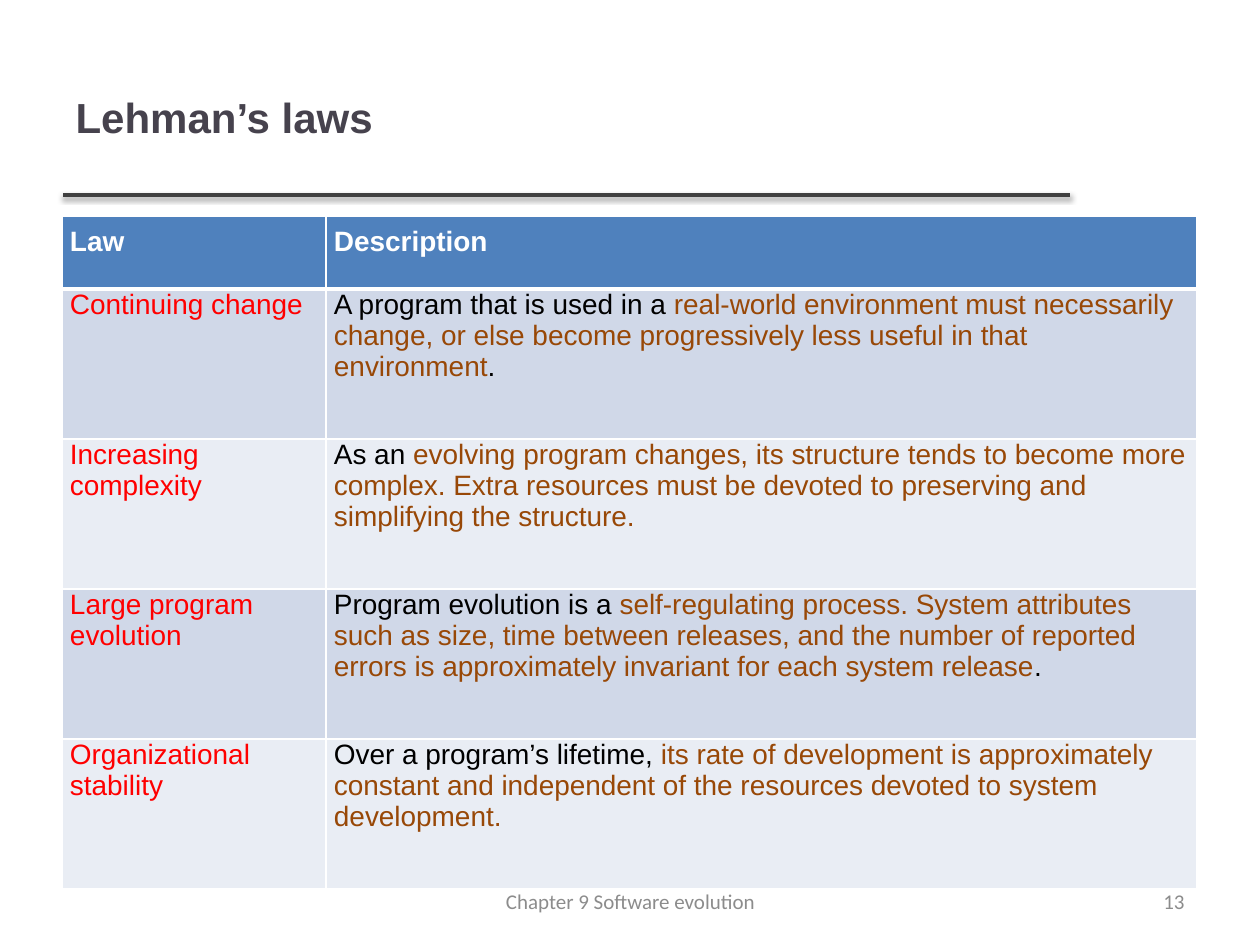
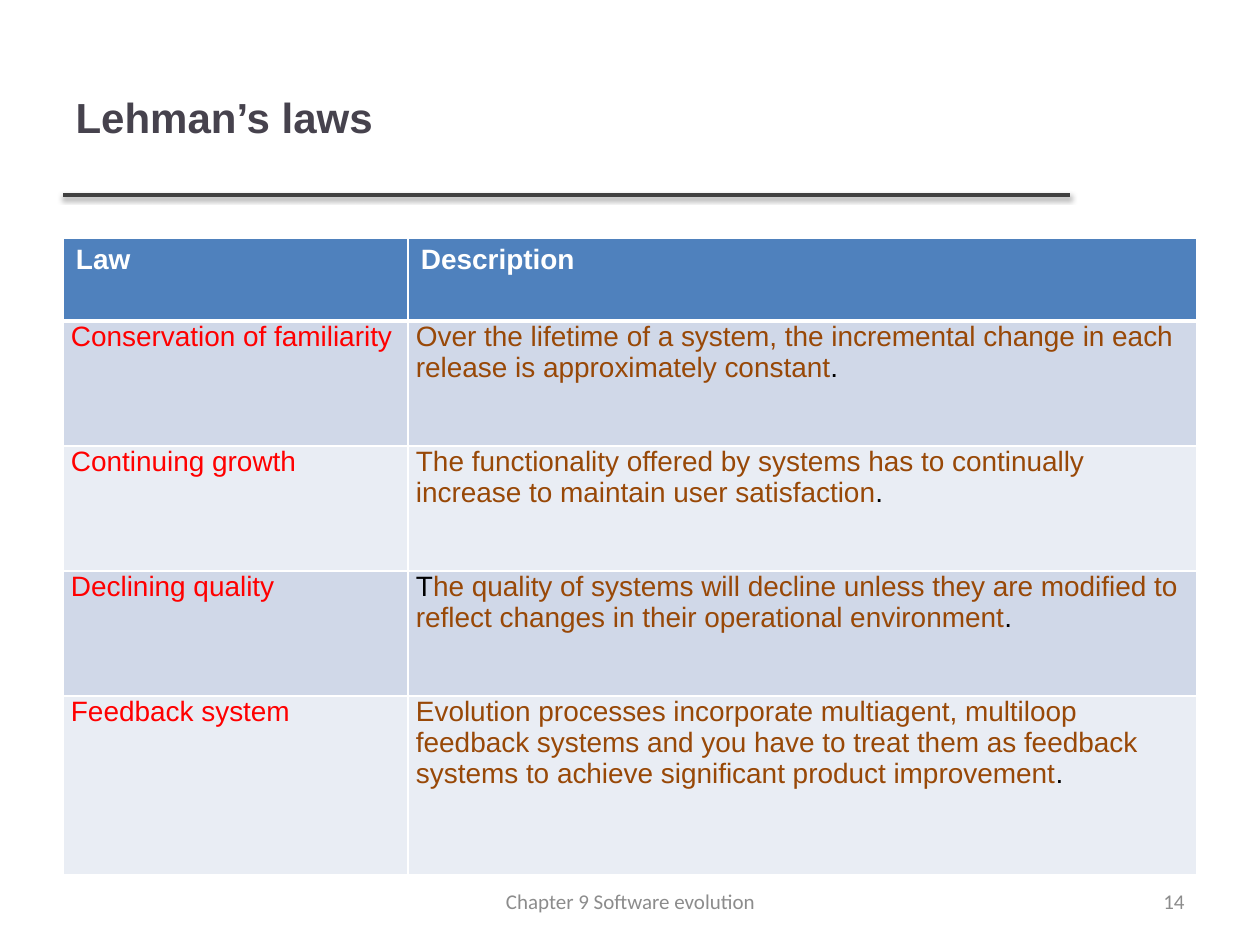
from lxml.etree import SubElement
from pptx import Presentation
from pptx.dml.color import RGBColor
from pptx.enum.shapes import MSO_CONNECTOR
from pptx.enum.text import MSO_ANCHOR, PP_ALIGN
from pptx.oxml import parse_xml
from pptx.oxml.ns import nsdecls, qn
from pptx.util import Emu, Pt

# Content: description runs marked True are highlighted
TITLE = "Lehman’s laws"
FOOTER = "Chapter 9 Software evolution"
HEADER = ("Law", "Description")
STOP = (".", False)

SLIDES = [
    {
        "number": 13, "at": (62, 216), "cols": (264, 871),
        "rows": (73, 150, 150, 150, 150),
        "header_margins": (8, 10, 8, 10), "header_after": 6,
        "laws": [
            ("Continuing change", [
                ("A program that is used in a ", False),
                ("real-world environment must necessarily change, or else become "
                 "progressively less useful in that environment", True), STOP]),
            ("Increasing complexity", [
                ("As an ", False),
                ("evolving program changes, its structure tends to become more complex. "
                 "Extra resources must be devoted to preserving and simplifying the "
                 "structure.", True)]),
            ("Large program evolution", [
                ("Program evolution is a ", False),
                ("self-regulating process. System attributes such as size, time between "
                 "releases, and the number of reported errors is approximately invariant "
                 "for each system release", True), STOP]),
            ("Organizational stability", [
                ("Over a program’s lifetime, ", False),
                ("its rate of development is approximately constant and independent of "
                 "the resources devoted to system development.", True)]),
        ],
    },
    {
        "number": 14, "at": (63, 238), "cols": (345, 789),
        "rows": (83, 125, 125, 125, 179),
        "header_margins": (13, 6, 13, 6), "header_after": 0,
        "laws": [
            ("Conservation of familiarity", [
                ("Over the lifetime of a system, the incremental change in each release "
                 "is approximately constant", True), STOP]),
            ("Continuing growth", [
                ("The functionality offered by systems has to continually increase to "
                 "maintain user satisfaction", True), STOP]),
            ("Declining quality", [
                ("T", False),
                ("he quality of systems will decline unless they are modified to reflect "
                 "changes in their operational environment", True), STOP]),
            ("Feedback system", [
                ("Evolution processes incorporate multiagent, multiloop feedback systems "
                 "and you have to treat them as feedback systems to achieve significant "
                 "product improvement", True), STOP]),
        ],
    },
]

# Shared style
WHITE = RGBColor(0xFF, 0xFF, 0xFF)
BLACK = RGBColor(0x00, 0x00, 0x00)
TITLE_GREY = RGBColor(0x46, 0x42, 0x4D)
RULE_GREY = RGBColor(0x40, 0x40, 0x40)
FOOTER_GREY = RGBColor(0x8C, 0x8C, 0x8C)
HEADER_BLUE = RGBColor(0x4F, 0x81, 0xBD)
BANDS = (RGBColor(0xD0, 0xD8, 0xE8), RGBColor(0xE9, 0xED, 0xF4))
LAW_RED = RGBColor(0xFF, 0x00, 0x00)
KEY_BROWN = RGBColor(0x98, 0x48, 0x07)
BODY_MARGINS = (8, 0, 8, 10)
THIN, THICK = Pt(1), Pt(3)
SHADOW = (
    f'<a:effectLst {nsdecls("a")}>'
    f'<a:outerShdw blurRad="{Pt(3.1)}" dist="{Pt(1.6)}" dir="5400000" rotWithShape="0">'
    '<a:srgbClr val="000000"><a:alpha val="38000"/></a:srgbClr>'
    '</a:outerShdw></a:effectLst>'
)


def px(n):
    return Emu(round(n * 914400 / 126))


def style_run(r, size, color, font="Arial", bold=False):
    r.font.name, r.font.size, r.font.bold = font, Pt(size), bold
    r.font.color.rgb = color


def place(sp, left, top, width, height):
    sp.left, sp.top, sp.width, sp.height = map(px, (left, top, width, height))


def add_title(s):
    sp = s.shapes.title
    place(sp, 63, 38, 1006, 157)
    tf = sp.text_frame
    tf.text = TITLE
    tf.vertical_anchor = MSO_ANCHOR.MIDDLE
    p = tf.paragraphs[0]
    p.alignment = PP_ALIGN.LEFT
    style_run(p.runs[0], 24, TITLE_GREY, bold=True)


def add_rule(s):
    line = s.shapes.add_connector(MSO_CONNECTOR.STRAIGHT, px(63), px(195), px(1070), px(195))
    line.line.color.rgb = RULE_GREY
    line.line.width = Pt(2)
    line._element.spPr.append(parse_xml(SHADOW))


def add_footer(s, text, left, width, align):
    tf = s.shapes.add_textbox(px(left), px(876), px(width), px(50)).text_frame
    tf.word_wrap = True
    tf.vertical_anchor = MSO_ANCHOR.MIDDLE
    tf.text = text
    p = tf.paragraphs[0]
    p.alignment = align
    style_run(p.runs[0], 12, FOOTER_GREY, font="Calibri")


def set_borders(cell, top, bottom):
    tcPr = cell._tc.get_or_add_tcPr()
    for side, width in (("L", THIN), ("R", THIN), ("T", top), ("B", bottom)):
        ln = SubElement(tcPr, qn(f"a:ln{side}"), w=str(width))
        fill = SubElement(ln, qn("a:solidFill"))
        SubElement(fill, qn("a:srgbClr"), val=str(WHITE))


def fill_cell(cell, runs, fill, margins, after, bold):
    cell.margin_left, cell.margin_top, cell.margin_right, cell.margin_bottom = map(px, margins)
    cell.fill.solid()
    cell.fill.fore_color.rgb = fill
    p = cell.text_frame.paragraphs[0]
    p.space_after = Pt(after)
    for text, color in runs:
        r = p.add_run()
        r.text = text
        style_run(r, 16, color, bold=bold)


def add_laws(s, data):
    cols, rows = data["cols"], data["rows"]
    box = (*data["at"], sum(cols), sum(rows))
    table = s.shapes.add_table(len(rows), len(cols), *map(px, box)).table
    for col, width in zip(table.columns, cols):
        col.width = px(width)
    for row, height in zip(table.rows, rows):
        row.height = px(height)

    # Header row, then one banded row per law
    lines = [[[(text, WHITE)] for text in HEADER]]
    for law, description in data["laws"]:
        colored = [(text, KEY_BROWN if key else BLACK) for text, key in description]
        lines.append([[(law, LAW_RED)], colored])
    for i, line in enumerate(lines):
        for j, runs in enumerate(line):
            cell = table.cell(i, j)
            set_borders(cell, THICK if i == 1 else THIN, THICK if i == 0 else THIN)
            if i == 0:
                fill_cell(cell, runs, HEADER_BLUE, data["header_margins"],
                          data["header_after"], True)
            else:
                fill_cell(cell, runs, BANDS[(i - 1) % 2], BODY_MARGINS, 6, False)


def main():
    prs = Presentation()
    prs.slide_width, prs.slide_height = px(1260), px(945)
    for data in SLIDES:
        s = prs.slides.add_slide(prs.slide_layouts[5])
        add_rule(s)
        add_title(s)
        add_laws(s, data)
        add_footer(s, str(data["number"]), 903, 294, PP_ALIGN.RIGHT)
        add_footer(s, FOOTER, 431, 399, PP_ALIGN.CENTER)
    prs.save("out.pptx")


if __name__ == "__main__":
    main()
